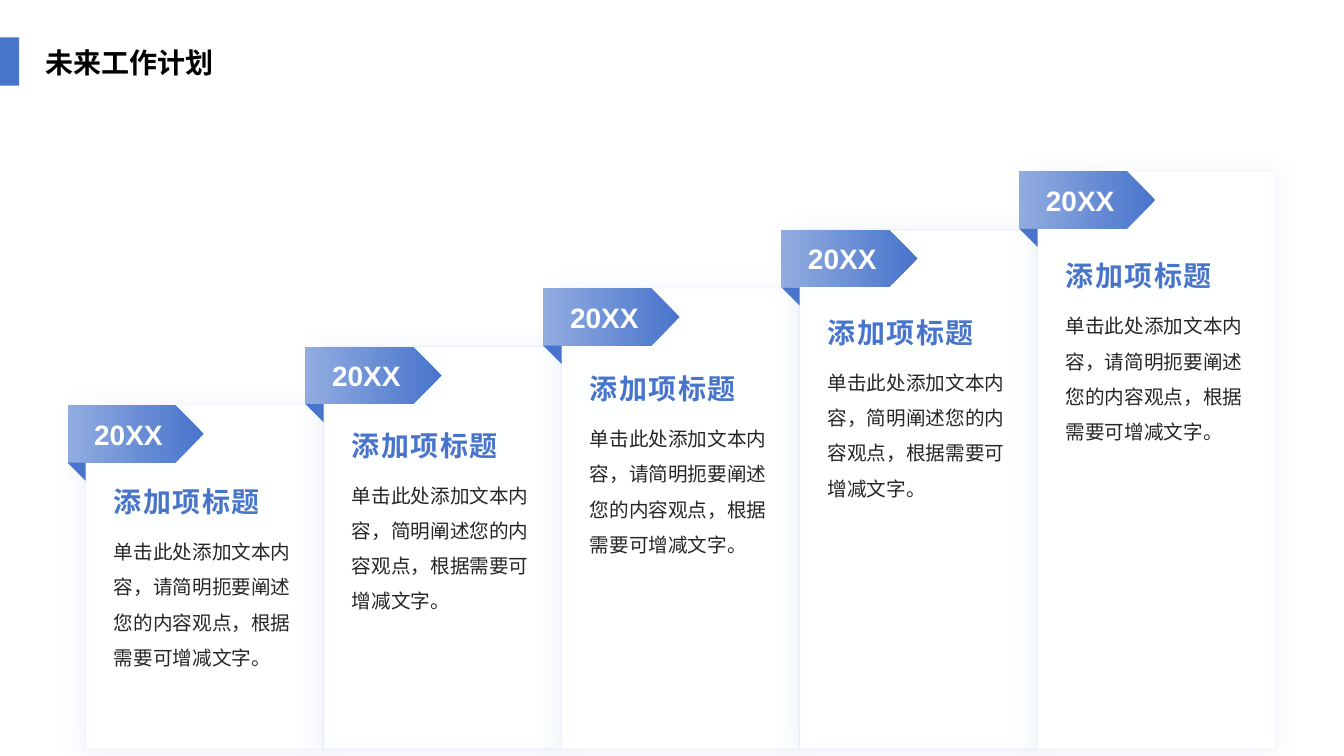
import pptx
import pptx.dml.color
import pptx.enum.shapes
import pptx.enum.text
import pptx.oxml
import pptx.oxml.ns
import pptx.util
from lxml import etree

RGB = pptx.dml.color.RGBColor
SHAPE = pptx.enum.shapes.MSO_SHAPE
ALIGN = pptx.enum.text.PP_ALIGN
ANCHOR = pptx.enum.text.MSO_ANCHOR
Inches = pptx.util.Inches
Pt = pptx.util.Pt
qn = pptx.oxml.ns.qn

BLUE = RGB(0x48, 0x74, 0xCB)
LIGHT_BLUE = RGB(0x91, 0xAC, 0xE0)
CARD_FILL = RGB(0xFE, 0xFF, 0xFF)
EDGES = (RGB(0xDA, 0xE3, 0xF5), RGB(0xB6, 0xC7, 0xEA))
WHITE = RGB(0xFF, 0xFF, 0xFF)
BLACK = RGB(0, 0, 0)
DARK = RGB(0x26, 0x26, 0x26)

CJK_FONT = "Noto Sans CJK SC"
COL, ROW, TEXT_ROW = 2.36, 0.58, 0.56
LEFT, TOP, BOTTOM = 0.85, 4.02, 7.43
TAG_W, TAG_H, FOLD = 1.35, 0.57, 0.18
LONG = "单击此处添加文本内容，请简明扼要阐述您的内容观点，根据需要可增减文字。"
SHORT = "单击此处添加文本内容，简明阐述您的内容观点，根据需要可增减文字。"
STEPS = [("20XX", "添加项标题", body) for body in (LONG, SHORT, LONG, SHORT, LONG)]


def write(tf, text, size=20, font="Arial", color=BLACK, bold=False,
          align=ALIGN.LEFT, anchor=ANCHOR.TOP, inset=None, wrap=True,
          line_spacing=None, tracking=None):
    tf.word_wrap = wrap
    tf.auto_size = pptx.enum.text.MSO_AUTO_SIZE.NONE
    tf.vertical_anchor = anchor
    if inset is not None:
        tf.margin_left = tf.margin_right = tf.margin_top = tf.margin_bottom = inset
    p = tf.paragraphs[0]
    p.alignment = align
    p.line_spacing = line_spacing
    r = p.add_run()
    r.text = text
    r.font.size = Pt(size)
    r.font.name = font
    r.font.bold = bold
    r.font.color.rgb = color
    rpr = r.font._element
    etree.SubElement(rpr, qn("a:ea")).set("typeface", CJK_FONT)
    if tracking:
        rpr.set("spc", str(tracking * 100))


class StairSlide:
    def __init__(self, prs):
        self.s = prs.slides.add_slide(prs.slide_layouts[5])

    def col(self, i):
        return LEFT + COL * i

    def row(self, i):
        return TOP - ROW * i

    def shape(self, kind, x, y, w, h, fill=None):
        sp = self.s.shapes.add_shape(kind, *map(Inches, (x, y, w, h)))
        sp.shadow.inherit = False
        sp.line.fill.background()
        if fill is not None:
            sp.fill.solid()
            sp.fill.fore_color.rgb = fill
        return sp

    def title(self, text):
        self.shape(SHAPE.RECTANGLE, 0, 0.37, 0.19, 0.48, BLUE)
        sp = self.s.shapes.title
        sp.left, sp.top, sp.width, sp.height = map(Inches, (0.35, 0.4, 5.49, 0.44))
        write(sp.text_frame, text, bold=True)

    def text(self, x, y, w, h, text, **style):
        sp = self.s.shapes.add_textbox(*map(Inches, (x, y, w, h)))
        write(sp.text_frame, text, inset=0, **style)

    def card(self, i):
        sp = self.shape(SHAPE.RECTANGLE, self.col(i), self.row(i),
                        COL, BOTTOM - self.row(i), CARD_FILL)
        sp.line.color.rgb = EDGES[i % 2]
        sp.line.width = Pt(1)
        edge = sp.line._ln.find(".//" + qn("a:srgbClr"))
        etree.SubElement(edge, qn("a:alpha")).set("val", "15000")
        effects = sp._element.spPr.find(qn("a:effectLst"))
        effects.append(pptx.oxml.parse_xml(
            f'<a:outerShdw {pptx.oxml.ns.nsdecls("a")} blurRad="{Pt(18)}" '
            f'dist="{Pt(3)}" dir="{135 * 60000}" algn="ctr" rotWithShape="0">'
            f'<a:srgbClr val="{LIGHT_BLUE}"><a:alpha val="17000"/></a:srgbClr>'
            '</a:outerShdw>'))

    def tag(self, i, text):
        x, y = self.col(i) - FOLD, self.row(i)
        sp = self.shape(SHAPE.PENTAGON, x, y, TAG_W, TAG_H)
        sp.fill.gradient()
        sp.fill.gradient_angle = 180
        for stop, color, place in zip(sp.fill.gradient_stops, (BLUE, LIGHT_BLUE), (0, 1)):
            stop.color.rgb = color
            stop.position = place
        write(sp.text_frame, text, color=WHITE, bold=True, align=ALIGN.CENTER,
              anchor=ANCHOR.MIDDLE, wrap=False)
        fold = self.shape(SHAPE.RIGHT_TRIANGLE, x, y + TAG_H, FOLD, FOLD, BLUE)
        fold.rotation = 180

    def step(self, i, year, heading, body):
        self.card(i)
        self.tag(i, year)
        x, y = self.col(i) + 0.28, 4.71 - TEXT_ROW * i
        self.text(x, y, 1.8, 0.43, heading, color=BLUE, bold=True,
                  anchor=ANCHOR.BOTTOM, tracking=1)
        self.text(x, y + 0.53, 1.8, 1.81, body, size=14, font=CJK_FONT,
                  color=DARK, line_spacing=1.5)


def main():
    prs = pptx.Presentation()
    prs.slide_width, prs.slide_height = Inches(13.33), Inches(7.5)
    slide = StairSlide(prs)
    slide.title("未来工作计划")
    for i, step in enumerate(STEPS):
        slide.step(i, *step)
    prs.save("out.pptx")


if __name__ == "__main__":
    main()
